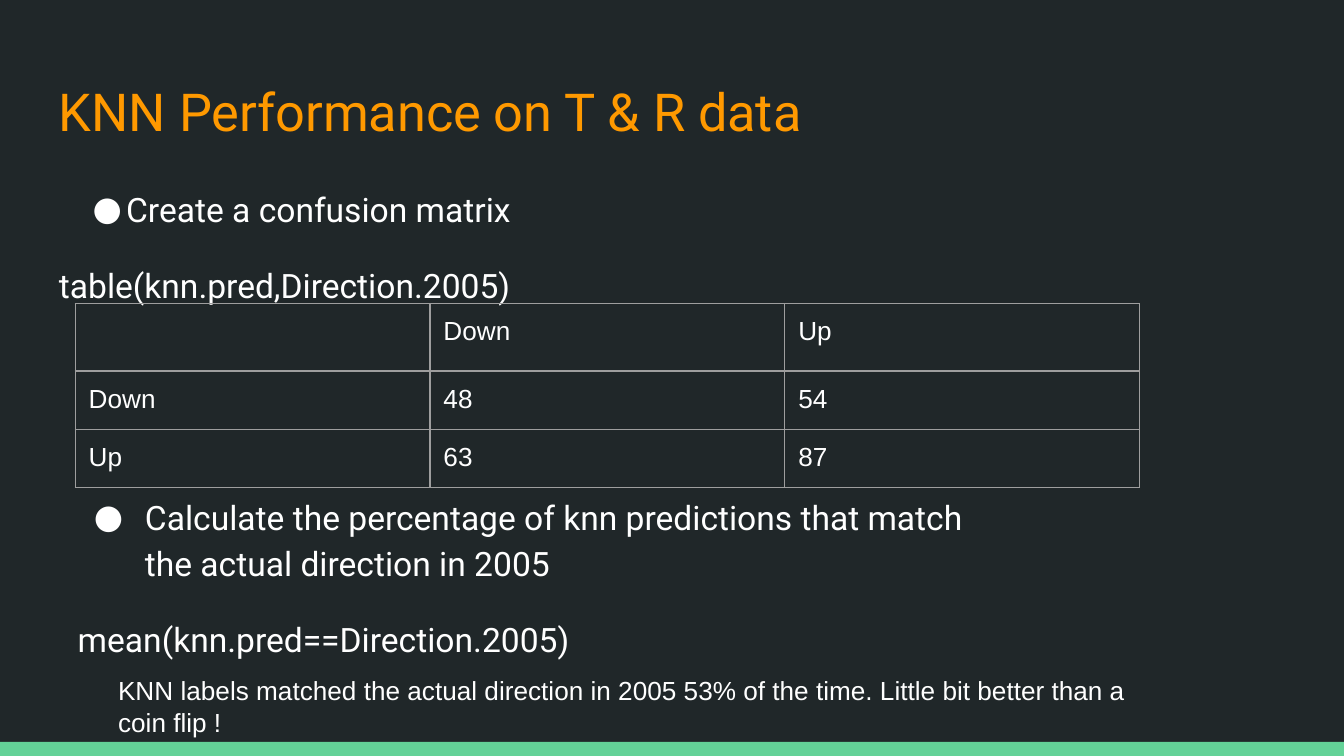
from lxml import etree
from pptx import Presentation
from pptx import util as u
from pptx.dml.color import RGBColor
from pptx.enum import shapes, text
from pptx.oxml.ns import qn

WHITE = "FFFFFF"
BACKGROUND = "202729"
MATRIX = [["", "Down", "Up"], ["Down", "48", "54"], ["Up", "63", "87"]]


def rgb(value):
    """Turn a hex string into a colour."""
    return RGBColor.from_string(value)


def pad(frame):
    """Give a text frame or table cell equal margins."""
    for side in ("left", "top", "right", "bottom"):
        setattr(frame, f"margin_{side}", u.Inches(0.1))


def style(paragraph, size, font, color):
    """Format all the runs of a paragraph."""
    for run in paragraph.runs:
        run.font.size = u.Pt(size)
        run.font.name = font
        run.font.color.rgb = rgb(color)


def add_bullet(paragraph, hanging, size, font):
    """Give a paragraph a white round bullet with a hanging indent."""
    props = paragraph._p.get_or_add_pPr()
    props.set("marL", str(u.Inches(0.5)))
    props.set("indent", str(-u.Inches(hanging)))
    bullet_color = etree.SubElement(props, qn("a:buClr"))
    etree.SubElement(bullet_color, qn("a:srgbClr"), val=WHITE)
    etree.SubElement(props, qn("a:buSzPts"), val=str(size * 100))
    etree.SubElement(props, qn("a:buFont"), typeface=font)
    etree.SubElement(props, qn("a:buChar"), char="●")


def add_text(slide, box, lines, size, font, color=WHITE):
    """Add a wrapped text box and return its paragraphs."""
    frame = slide.shapes.add_textbox(*map(u.Inches, box)).text_frame
    frame.word_wrap = True
    frame.vertical_anchor = text.MSO_ANCHOR.TOP
    pad(frame)
    frame.text = "\n".join(lines)
    for paragraph in frame.paragraphs:
        style(paragraph, size, font, color)
    return frame.paragraphs


def add_step(slide, box, instruction, code, hanging):
    """Add a bulleted instruction followed by its line of code."""
    paragraphs = add_text(slide, box, [instruction, code], 18, "Roboto")
    for paragraph in paragraphs:
        paragraph.line_spacing = 1.15
        paragraph.space_after = u.Pt(16)
    add_bullet(paragraphs[0], hanging, 18, "Roboto")


def add_borders(cell, color, width):
    """Draw a thin line on each side of a cell."""
    props = cell._tc.get_or_add_tcPr()
    for position, side in enumerate(("lnL", "lnR", "lnT", "lnB")):
        line = etree.Element(qn(f"a:{side}"), w=str(u.Pt(width)))
        fill = etree.SubElement(line, qn("a:solidFill"))
        etree.SubElement(fill, qn("a:srgbClr"), val=color)
        props.insert(position, line)


def fill_cell(cell, label):
    """Write a label in a cell, or set the line height of an empty one."""
    pad(cell)
    cell.fill.background()
    cell.text = label
    paragraph = cell.text_frame.paragraphs[0]
    style(paragraph, 14, "Arial", WHITE)
    if not label:
        ending = etree.SubElement(paragraph._p, qn("a:endParaRPr"), sz="1800")
        etree.SubElement(ending, qn("a:latin"), typeface="Arial")
    add_borders(cell, "9E9E9E", 0.75)


def add_matrix(slide, left, top, column_width, row_height, frame_size):
    """Add the confusion matrix as a table."""
    frame = slide.shapes.add_table(
        len(MATRIX), len(MATRIX[0]),
        *map(u.Inches, (left, top, frame_size, frame_size)))
    matrix = frame.table
    matrix.first_row = matrix.horz_banding = False
    for column in matrix.columns:
        column.width = u.Inches(column_width)
    for row, labels in zip(matrix.rows, MATRIX):
        row.height = u.Inches(row_height)
        for cell, label in zip(row.cells, labels):
            fill_cell(cell, label)
    frame.width = frame.height = u.Inches(frame_size)


def add_footer_band(slide):
    """Add the green band along the bottom edge."""
    band = slide.shapes.add_shape(
        shapes.MSO_SHAPE.RECTANGLE, *map(u.Inches, (0, 5.52, 10, 0.11)))
    band.shadow.inherit = False
    band.fill.solid()
    band.fill.fore_color.rgb = rgb("63D297")
    band.line.fill.background()


def main():
    """Build the slide and save it."""
    deck = Presentation()
    deck.slide_width = u.Inches(10)
    deck.slide_height = deck.slide_width * 9 // 16
    slide = deck.slides.add_slide(deck.slide_layouts[6])
    slide.background.fill.solid()
    slide.background.fill.fore_color.rgb = rgb(BACKGROUND)

    add_footer_band(slide)
    add_text(slide, (0.34, 0.49, 9.32, 0.63),
             ["KNN Performance on T & R data"], 28, "Roboto", "FF9900")
    add_step(slide, (0.34, 1.26, 9.32, 1.12), "Create a confusion matrix",
             "table(knn.pred,Direction.2005)", 0.25)
    add_matrix(slide, 0.56, 2.26, 2.64, 0.42, 3.28)
    add_step(slide, (0.48, 3.55, 6.82, 0.35),
             "Calculate the percentage of knn predictions that match "
             "the actual direction in 2005",
             "mean(knn.pred==Direction.2005)", 0.38)
    add_text(slide, (0.78, 4.92, 8.05, 0.46),
             ["KNN labels matched the actual direction in 2005 53% of the time. "
              "Little bit better than a coin flip !"], 14, "Arial")
    deck.save("out.pptx")


if __name__ == "__main__":
    main()
